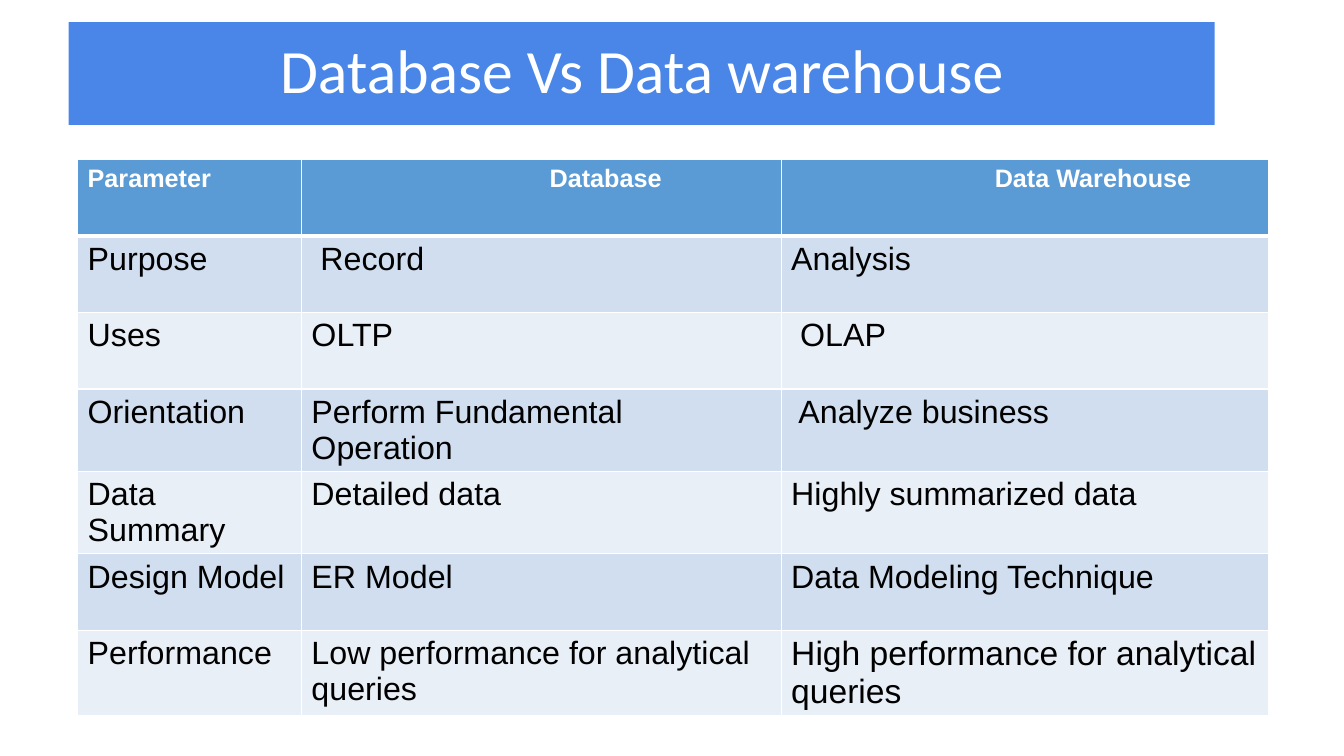
from dataclasses import dataclass

from lxml.etree import SubElement
from pptx import Presentation
from pptx.dml.color import RGBColor as RGB
from pptx.enum.shapes import MSO_SHAPE as Shape
from pptx.enum.text import MSO_ANCHOR as Anchor, PP_ALIGN as Align
from pptx.oxml.ns import qn
from pptx.util import Cm, Pt


@dataclass(frozen=True)
class Theme:
    banner: str = "4A86E8"
    header: str = "5B9BD5"
    bands: tuple = ("D0DEEF", "E9EFF7")
    white: str = "FFFFFF"
    black: str = "000000"
    title_font: str = "Calibri"
    body_font: str = "Arial"
    title_size: int = 44
    header_size: int = 18
    body_size: int = 23
    large_size: int = 24


THEME = Theme()
COLUMN_WIDTHS = (5.64, 12.09, 12.29)
ROW_HEIGHT = 1.93
CELL_INSET = 0.25
HEADER_INSETS = (CELL_INSET, 6.25, 5.38)
ROWS = (
    ("Parameter", "Database", "Data Warehouse"),
    ("Purpose", " Record", "Analysis"),
    ("Uses", "OLTP", " OLAP"),
    ("Orientation", "Perform Fundamental Operation", " Analyze business"),
    ("Data Summary", "Detailed data", "Highly summarized data"),
    ("Design Model", "ER Model", "Data Modeling Technique"),
    ("Performance", "Low performance for analytical queries",
     "High performance for analytical queries"),
)


def write_text(tf, text, color, **font_format):
    p = tf.paragraphs[0]
    p.alignment = Align.LEFT
    r = p.add_run()
    r.text = text
    r.font.color.rgb = RGB.from_string(color)
    for name, value in font_format.items():
        setattr(r.font, name, value)
    return p


def paint(fill, color):
    fill.solid()
    fill.fore_color.rgb = RGB.from_string(color)


def set_borders(cell, widths):
    tc_pr = cell._tc.get_or_add_tcPr()
    for side, width in widths.items():
        ln = SubElement(tc_pr, qn(f"a:ln{side}"), w=str(Pt(width)))
        SubElement(SubElement(ln, qn("a:solidFill")), qn("a:srgbClr"), val=THEME.white)


def add_banner(s, text):
    sp = s.shapes.add_shape(Shape.RECTANGLE, Cm(1.73), Cm(0.56), Cm(28.88), Cm(2.59))
    sp.shadow.inherit = False
    sp.line.fill.background()
    paint(sp.fill, THEME.banner)
    tf = sp.text_frame
    frame_format = {"word_wrap": True, "vertical_anchor": Anchor.MIDDLE,
                    "margin_left": Cm(5.33)}
    for name, value in frame_format.items():
        setattr(tf, name, value)
    p = write_text(tf, text, THEME.white, name=THEME.title_font,
                   size=Pt(THEME.title_size), bold=False)
    p.line_spacing = 0.9


def fill_cell(cell, text, row, inset, size):
    is_header = row == 0
    # Borders come before the fill in the cell properties
    set_borders(cell, {"L": 1, "R": 1, "T": 3 if row == 1 else 1,
                       "B": 3 if is_header else 1})
    paint(cell.fill, THEME.header if is_header else THEME.bands[(row - 1) % 2])
    cell.margin_left = Cm(inset)
    write_text(cell.text_frame, text, THEME.white if is_header else THEME.black,
               name=THEME.body_font, size=Pt(size), bold=is_header)


def add_comparison(s, rows):
    frame = s.shapes.add_table(len(rows), len(COLUMN_WIDTHS), Cm(1.96), Cm(4.01),
                               Cm(sum(COLUMN_WIDTHS)), Cm(ROW_HEIGHT * len(rows)))
    table = frame.table
    for column, width in zip(table.columns, COLUMN_WIDTHS):
        column.width = Cm(width)
    sizes = {0: THEME.header_size}
    last_cell = (len(rows) - 1, len(COLUMN_WIDTHS) - 1)
    for i, texts in enumerate(rows):
        table.rows[i].height = Cm(ROW_HEIGHT)
        for j, text in enumerate(texts):
            inset = HEADER_INSETS[j] if i == 0 else CELL_INSET
            size = THEME.large_size if (i, j) == last_cell else sizes.get(i, THEME.body_size)
            fill_cell(table.cell(i, j), text, i, inset, size)


def main():
    prs = Presentation()
    prs.slide_width, prs.slide_height = Cm(33.87), Cm(19.05)
    s = prs.slides.add_slide(prs.slide_layouts[6])
    # Title banner
    add_banner(s, "Database Vs Data warehouse")
    # Comparison table
    add_comparison(s, ROWS)
    prs.save("out.pptx")


if __name__ == "__main__":
    main()
